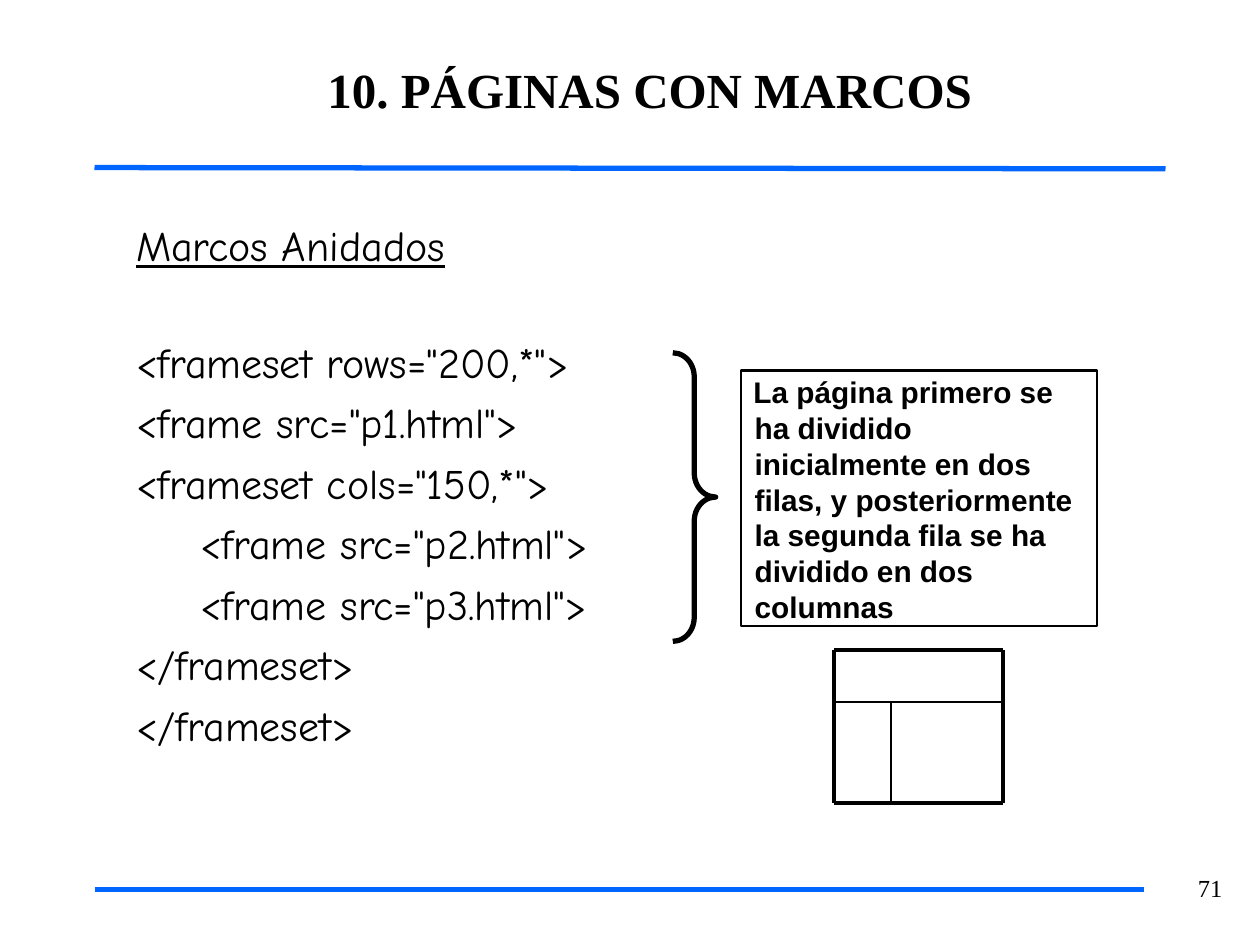
import pptx
import pptx.dml.color
import pptx.enum.shapes
import pptx.enum.text
import pptx.oxml.ns
import pptx.util
from pptx.util import Inches

BLACK = "000000"
BLUE = "0066FF"
ALIGN = pptx.enum.text.PP_ALIGN
SHAPE = pptx.enum.shapes.MSO_SHAPE


def color(hex_value):
    return pptx.dml.color.RGBColor.from_string(hex_value)


def set_line(shape, hex_value, width):
    shape.line.color.rgb = color(hex_value)
    shape.line.width = pptx.util.Pt(width)


def add_rule(slide, start, end, hex_value, width):
    straight = pptx.enum.shapes.MSO_CONNECTOR.STRAIGHT
    rule = slide.shapes.add_connector(
        straight, *(Inches(value) for value in (*start, *end)))
    set_line(rule, hex_value, width)
    properties = rule._element.spPr
    properties.append(properties.makeelement(pptx.oxml.ns.qn("a:effectLst"), {}))


def add_outline(slide, preset, box, width):
    outline = slide.shapes.add_shape(preset, *(Inches(value) for value in box))
    outline.shadow.inherit = False
    outline.fill.background()
    set_line(outline, BLACK, width)
    return outline


def prepare_frame(shape, insets):
    frame = shape.text_frame
    frame.word_wrap = True
    frame.vertical_anchor = pptx.enum.text.MSO_ANCHOR.TOP
    (frame.margin_left, frame.margin_top,
     frame.margin_right, frame.margin_bottom) = (Inches(i) for i in insets)
    return frame


def add_text(slide, box, insets):
    return prepare_frame(
        slide.shapes.add_textbox(*(Inches(value) for value in box)), insets)


def write(paragraph, text, font, size, bold=False, underline=False, align=ALIGN.LEFT):
    paragraph.alignment = align
    run = paragraph.add_run()
    run.text = text
    run.font.name = font
    run.font.size = pptx.util.Pt(size)
    run.font.bold = bold
    run.font.underline = underline
    run.font.color.rgb = color(BLACK)


def indent(paragraph, left, first):
    properties = paragraph._p.get_or_add_pPr()
    properties.set("marL", str(Inches(left)))
    properties.set("indent", str(Inches(first)))


def add_code(slide):
    frame = add_text(slide, (1.08, 1.73, 4.07, 5.09), (0, 0.01, 0, 0))
    write(frame.paragraphs[0], "Marcos Anidados", "Comic Neue", 24, underline=True)
    lines = [
        ('<frameset rows="200,*">', 0, 38),
        ('<frame src="p1.html">', 0, 5.8),
        ('<frameset cols="150,*">', 0, 5.8),
        ('<frame src="p2.html">', 0.51, 5.8),
        ('<frame src="p3.html">', 0.51, 5.8),
        ("</frameset>", 0, 5.8),
        ("</frameset>", 0, 5.8),
    ]
    for text, left, before in lines:
        paragraph = frame.add_paragraph()
        indent(paragraph, left, 0)
        paragraph.space_before = pptx.util.Pt(before)
        write(paragraph, text, "Comic Neue", 24)


def add_explanation(slide):
    brace = add_outline(slide, SHAPE.RIGHT_BRACE, (5.34, 2.8, 0.34, 2.29), 3)
    brace.adjustments[0] = 0.56
    note = add_outline(slide, SHAPE.RECTANGLE, (5.88, 2.94, 2.83, 2.03), 1.25)
    paragraph = prepare_frame(note, (0, 0.03, 0.1, 0)).paragraphs[0]
    indent(paragraph, 0.11, -0.01)
    write(paragraph,
          "La página primero se ha dividido inicialmente en dos filas, "
          "y posteriormente la segunda fila se ha dividido en dos columnas",
          "Arial", 17, bold=True)


def add_frame_sketch(slide):
    left, divider, right = 6.62, 7.07, 7.96
    top, split, bottom = 5.16, 5.57, 6.37
    for y, width in ((top, 2.25), (split, 1), (bottom, 2.25)):
        add_rule(slide, (left, y), (right, y), BLACK, width)
    for x, start, width in ((left, top, 2.25), (right, top, 2.25), (divider, split, 1)):
        add_rule(slide, (x, start), (x, bottom), BLACK, width)


def main():
    deck = pptx.Presentation()
    deck.slide_width, deck.slide_height = Inches(10), Inches(7.5)
    slide = deck.slides.add_slide(deck.slide_layouts[6])

    for start, end in (((0.75, 1.33), (9.25, 1.34)),
                       ((0.75, 7.06), (8.92, 7.06)),
                       ((0.92, 7.06), (9.08, 7.06))):
        add_rule(slide, start, end, BLUE, 3)

    insets = (0.1, 0.05, 0.1, 0.05)
    number = add_text(slide, (9.36, 6.9, 0.44, 0.32), insets).paragraphs[0]
    number.line_spacing = 0.93
    write(number, "71", "Times New Roman", 14, align=ALIGN.RIGHT)
    title = add_text(slide, (0.43, 0.42, 9.45, 0.57), insets).paragraphs[0]
    write(title, "10. PÁGINAS CON MARCOS", "Times New Roman", 28,
          bold=True, align=ALIGN.CENTER)

    add_code(slide)
    add_explanation(slide)
    add_frame_sketch(slide)
    deck.save("out.pptx")


if __name__ == "__main__":
    main()
